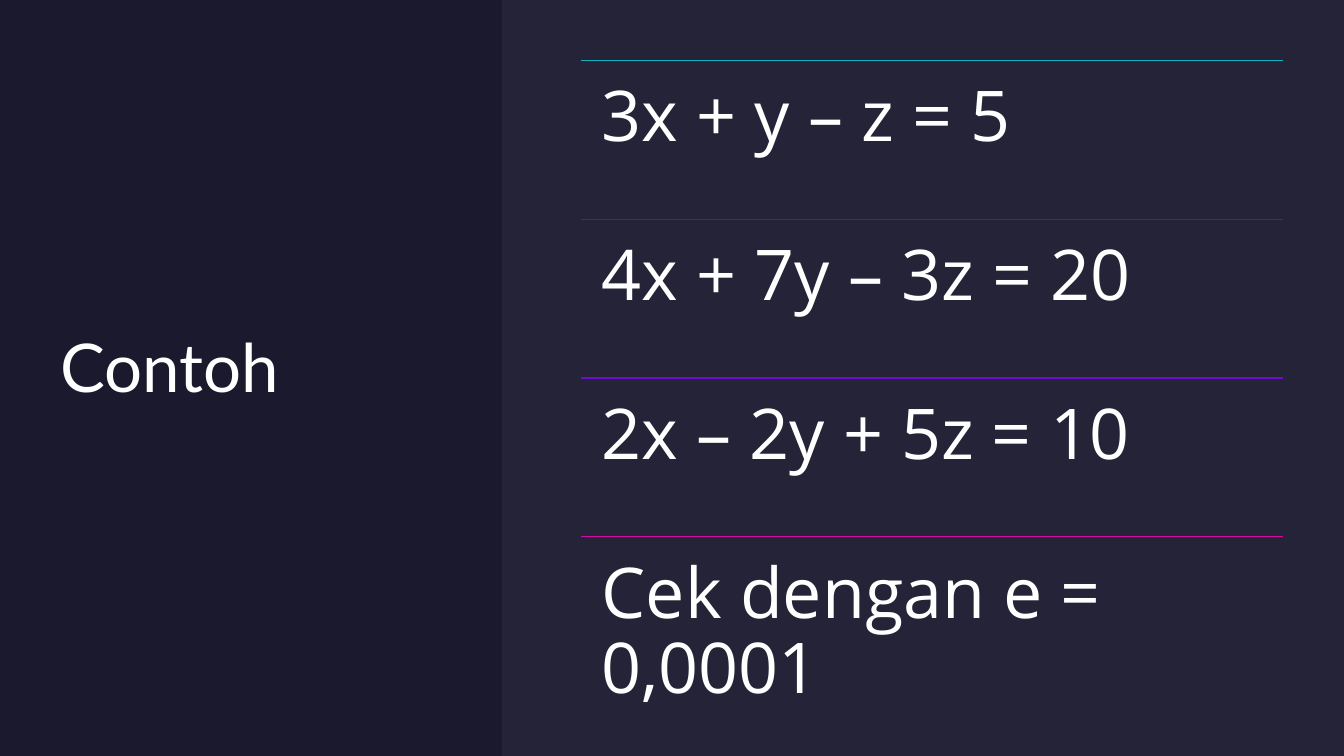
"""Builds a slide with a title panel and a ruled list of equations."""
from dataclasses import dataclass

from lxml import etree
from pptx import Presentation
from pptx import util as u
from pptx.dml.color import RGBColor
from pptx.enum import shapes, text
from pptx.oxml.ns import qn


@dataclass(frozen=True)
class Theme:
    """Colours, fonts and type sizes of the slide."""
    back: str = "1B192E"
    panel: str = "E4E3F0"
    panel_alpha: int = 5
    ink: str = "FFFFFF"
    rules: tuple = ("12B1BF", "0F35C6", "6E0DCD", "D40AA8")
    head_font: str = "Lato"
    body_font: str = "Open Sans"
    head_size: int = 48
    body_size: int = 50


THEME = Theme()
WIDTH, HEIGHT = 960, 540


def rgb(code):
    """Return the colour for a hex code."""
    return RGBColor.from_string(code)


def style(p, font, size):
    """Format the runs of a paragraph."""
    p.alignment = text.PP_ALIGN.LEFT
    for r in p.runs:
        r.font.name = font
        r.font.size = u.Pt(size)
        r.font.color.rgb = rgb(THEME.ink)


def setup_frame(tf, inset, anchor):
    """Set equal insets, wrapping and anchor of a text frame."""
    tf.word_wrap = True
    tf.auto_size = text.MSO_AUTO_SIZE.NONE
    tf.vertical_anchor = anchor
    tf.margin_left = tf.margin_right = u.Pt(inset)
    tf.margin_top = tf.margin_bottom = u.Pt(inset)


def add_panel(s, box, color, alpha=100):
    """Add a plain rectangle without outline."""
    sp = s.shapes.add_shape(shapes.MSO_SHAPE.RECTANGLE, *map(u.Pt, box))
    sp.shadow.inherit = False
    sp.line.fill.background()
    sp.fill.solid()
    sp.fill.fore_color.rgb = rgb(color)
    if alpha < 100:
        clr = sp.element.spPr.find(".//" + qn("a:srgbClr"))
        etree.SubElement(clr, qn("a:alpha"), val=str(alpha * 1000))
    return sp


def add_title(s, box, title):
    """Place the title placeholder in its box."""
    sp = s.shapes.title
    sp.left, sp.top, sp.width, sp.height = map(u.Pt, box)
    tf = sp.text_frame
    tf.text = title
    setup_frame(tf, 0, text.MSO_ANCHOR.MIDDLE)
    style(tf.paragraphs[0], THEME.head_font, THEME.head_size)


def add_ruled_list(s, box, items):
    """Stack the items in equal rows, each below a coloured rule."""
    x, y, w, h = box
    row = h / len(items)
    group = s.shapes.add_group_shape()
    for i, (item, color) in enumerate(zip(items, THEME.rules)):
        top = y + i * row
        rule = group.shapes.add_connector(
            shapes.MSO_CONNECTOR.STRAIGHT, *map(u.Pt, (x, top, x + w, top)))
        rule.line.color.rgb = rgb(color)
        rule.line.width = u.Pt(1)
        etree.SubElement(rule.element.spPr, qn("a:effectLst"))
        sp = group.shapes.add_textbox(*map(u.Pt, (x, top, w, row)))
        tf = sp.text_frame
        tf.text = item
        setup_frame(tf, 15, text.MSO_ANCHOR.TOP)
        p = tf.paragraphs[0]
        p.line_spacing = 0.9
        style(p, THEME.body_font, THEME.body_size)


def build_example(prs):
    """Add the example slide."""
    s = prs.slides.add_slide(prs.slide_layouts[5])
    s.background.fill.solid()
    s.background.fill.fore_color.rgb = rgb(THEME.back)
    backdrop = add_panel(s, (0, 0, WIDTH, HEIGHT), THEME.back)
    s.shapes.title.element.addprevious(backdrop.element)
    add_title(s, (43.2, 43.2, 280.8, 436.3), "Contoh")
    add_panel(s, (358.4, 0, WIDTH - 358.4, HEIGHT), THEME.panel, THEME.panel_alpha)
    add_ruled_list(s, (414.9, 43.2, 501.6, 453.6), (
        "3x + y – z = 5",
        "4x + 7y – 3z = 20",
        "2x – 2y + 5z = 10",
        "Cek dengan e = 0,0001",
    ))


prs = Presentation()
prs.slide_width, prs.slide_height = u.Pt(WIDTH), u.Pt(HEIGHT)
build_example(prs)
prs.save("out.pptx")
